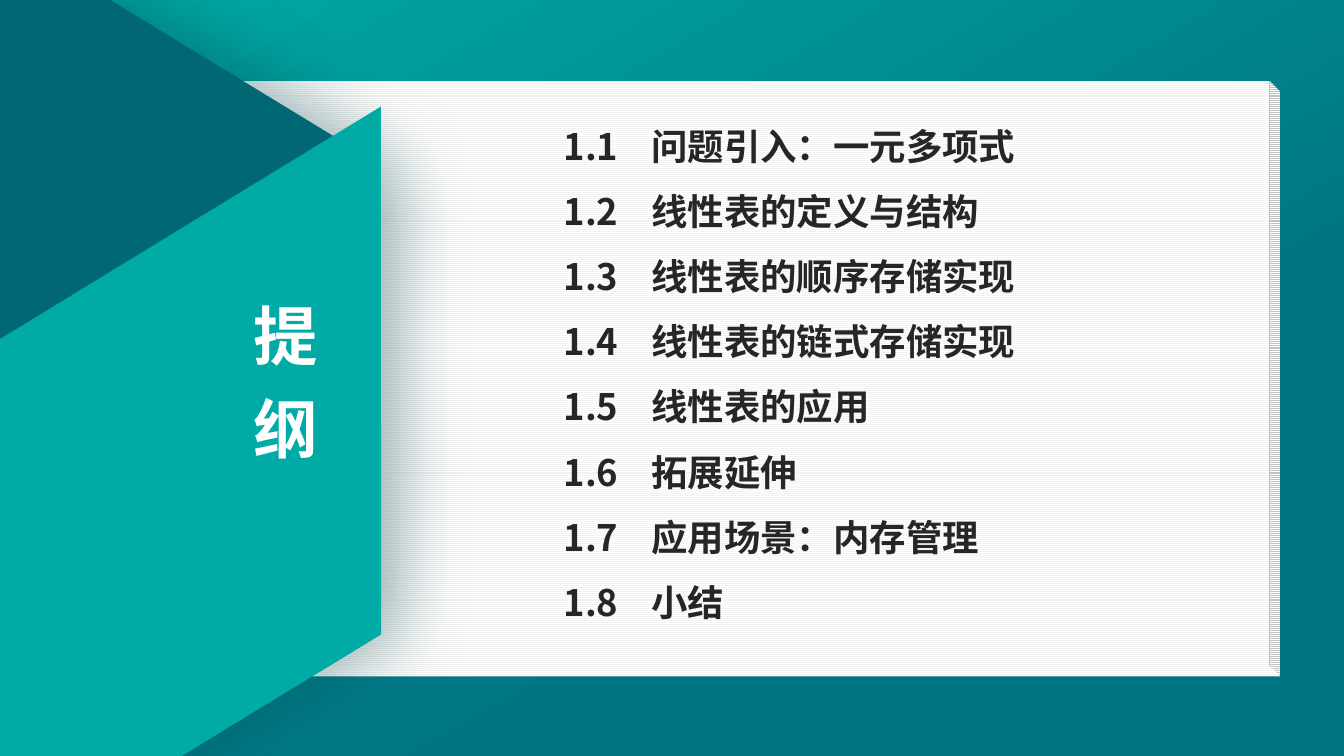
import lxml.etree
import pptx
import pptx.dml.color
import pptx.enum.dml
import pptx.enum.shapes
import pptx.enum.text
import pptx.oxml
import pptx.oxml.ns
import pptx.util

THEME = {
    "font": "Noto Sans CJK SC",
    "title_size": 46, "title_line": 67,
    "item_size": 26, "item_line": 46.5,
    "teal": "00ABA5", "deep": "007684", "dark": "016773",
    "hex_shadow": "013F45", "title_shadow": "000000",
    "white": "FFFFFF", "rule": "F2F2F2", "ink": "262626",
}
SECTIONS = [
    "问题引入：一元多项式", "线性表的定义与结构", "线性表的顺序存储实现",
    "线性表的链式存储实现", "线性表的应用", "拓展延伸",
    "应用场景：内存管理", "小结",
]
SHAPE = pptx.enum.shapes.MSO_SHAPE
qn = pptx.oxml.ns.qn
rgb = {k: pptx.dml.color.RGBColor.from_string(v)
       for k, v in THEME.items() if isinstance(v, str) and k != "font"}

prs = pptx.Presentation()
prs.slide_width = pptx.util.Inches(13.333)
prs.slide_height = pptx.util.Inches(7.5)


def place(sp, left, top, width, height):
    """Position a shape in percent of the slide's width and height."""
    sp.left, sp.width = (int(prs.slide_width * v / 100) for v in (left, width))
    sp.top, sp.height = (int(prs.slide_height * v / 100) for v in (top, height))


def outer_shadow(color, alpha, blur, dist, angle):
    """Effect list with one shadow: alpha in percent, lengths in points."""
    return pptx.oxml.parse_xml(
        f'<a:effectLst {pptx.oxml.ns.nsdecls("a")}>'
        f'<a:outerShdw blurRad="{pptx.util.Pt(blur)}" dist="{pptx.util.Pt(dist)}"'
        f' dir="{angle * 60000}" algn="ctr" rotWithShape="0">'
        f'<a:srgbClr val="{THEME[color]}"><a:alpha val="{alpha * 1000}"/></a:srgbClr>'
        '</a:outerShdw></a:effectLst>')


slide = prs.slides.add_slide(prs.slide_layouts[1])
title, body = slide.placeholders

# Background and decorative shapes, back to front
shapes = {}
for name, kind, box, rotation, adjustments in [
    ("page", SHAPE.CUBE, (0, 10.67, 95.25, 78.8), 0, [0.018]),
    ("hexagon", SHAPE.HEXAGON, (-46.58, -10.53, 78.45, 126.8), 90, [0.305, 1.155]),
    ("band", SHAPE.PARALLELOGRAM, (-20.55, 38.53, 62.18, 59.6), 328.6, [0.61]),
]:
    sp = slide.shapes.add_shape(kind, 0, 0, 0, 0)
    place(sp, *box)
    sp.rotation = rotation
    for i, value in enumerate(adjustments):
        sp.adjustments[i] = value
    sp.line.fill.background()
    sp.shadow.inherit = False
    shapes[name] = sp

page, hexagon, band = shapes.values()
page._element.spPr.find(qn("a:xfrm")).set("flipV", "1")
page.fill.patterned()
page.fill.pattern = pptx.enum.dml.MSO_PATTERN.LIGHT_HORIZONTAL
page.fill.fore_color.rgb = rgb["rule"]
page.fill.back_color.rgb = rgb["white"]
band.fill.solid()
band.fill.fore_color.rgb = rgb["teal"]

for fill, angle, stops in [
    (slide.background.fill, 300, [(0, "teal"), (0.67, "deep")]),
    (hexagon.fill, 270, [(0.77, "dark"), (1, "deep")]),
]:
    fill.gradient()
    fill.gradient_angle = angle
    for stop, (position, color) in zip(fill.gradient_stops, stops):
        stop.position = position
        stop.color.rgb = rgb[color]

spPr = hexagon._element.spPr
spPr.replace(spPr.find(qn("a:effectLst")), outer_shadow("hex_shadow", 40, 55, 13, 0))

# Title and outline
place(title, 17.51, 36.93, 7.5, 26.67)
place(body, 41.18, 13.6, 41.93, 69.2)
title.text_frame.text = "提\n纲"
body.text_frame.text = "\n".join(
    f"1.{n}\t{section}" for n, section in enumerate(SECTIONS, 1))

for sp, kind, color, margin in [(title, "title", "white", 0), (body, "item", "ink", 0.1)]:
    slide.shapes._spTree.append(sp._element)
    tf = sp.text_frame
    tf.word_wrap = True
    tf.auto_size = pptx.enum.text.MSO_AUTO_SIZE.NONE
    tf.vertical_anchor = pptx.enum.text.MSO_ANCHOR.TOP
    tf.margin_top = tf.margin_bottom = 0
    tf.margin_left = tf.margin_right = pptx.util.Inches(margin)
    for p in tf.paragraphs:
        p.line_spacing = pptx.util.Pt(THEME[kind + "_line"])
        p.space_before = p.space_after = pptx.util.Pt(0)
        for r in p.runs:
            r.font.size = pptx.util.Pt(THEME[kind + "_size"])
            r.font.bold = True
            r.font.color.rgb = rgb[color]
            r.font.name = THEME["font"]
            latin = r._r.rPr.find(qn("a:latin"))
            ea = lxml.etree.Element(qn("a:ea"), typeface=THEME["font"])
            latin.addnext(ea)
            if sp is title:
                latin.addprevious(outer_shadow("title_shadow", 43, 3, 3, 45))

for p in title.text_frame.paragraphs:
    p.alignment = pptx.enum.text.PP_ALIGN.CENTER
hang = pptx.util.Inches(0.87)
for p in body.text_frame.paragraphs:
    pPr = p._p.get_or_add_pPr()
    pPr.set("marL", str(hang))
    pPr.set("indent", str(-hang))
    lxml.etree.SubElement(pPr, qn("a:buNone"))

prs.save("out.pptx")
